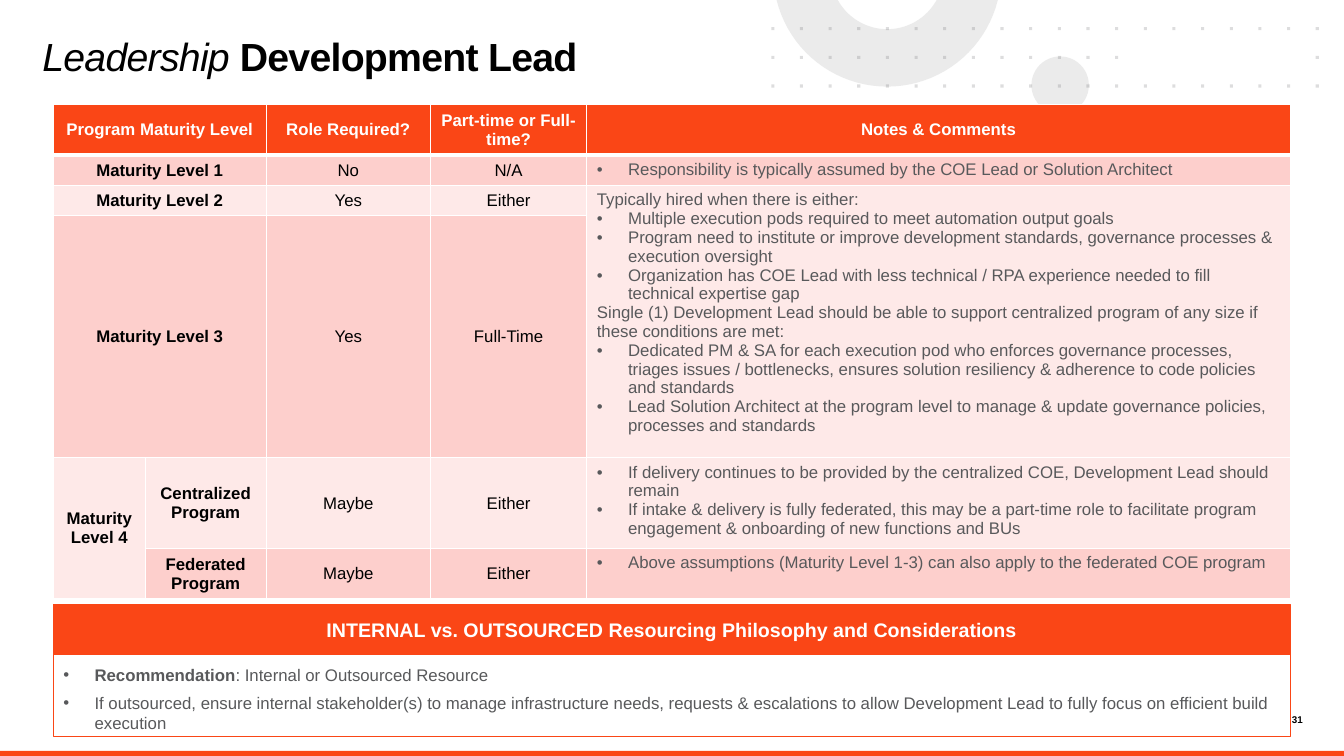
from dataclasses import dataclass
from math import asin, cos, pi, sin

from lxml import etree
from pptx import Presentation
from pptx import util as u
from pptx.dml.color import RGBColor
from pptx.enum import shapes, text
from pptx.oxml.ns import qn


@dataclass(frozen=True)
class Theme:
    font: str = "Arial"
    accent: str = "FA4616"
    white: str = "FFFFFF"
    black: str = "000000"
    gray: str = "58595B"
    backdrop: str = "D9D9D9"
    bands: tuple[str, str] = ("FEE9E8", "FDCFCC")
    title: float = 28
    heading: float = 14
    body: float = 12
    page: float = 7


@dataclass(frozen=True)
class Run:
    text: str
    size: float
    color: str
    bold: bool = False
    italic: bool = False
    spacing: float = 0


@dataclass(frozen=True)
class Note:
    text: str
    bullet: bool = True


@dataclass(frozen=True)
class Level:
    name: str
    program: str
    required: str
    commitment: str
    notes: tuple[Note, ...]
    height: float


@dataclass(frozen=True)
class DotBlock:
    first: int
    last: int


THEME = Theme()
LEFT, WIDTH = 0.53, 12.27
COLUMNS = (0.91, 1.2, 1.63, 1.55, 6.98)
HEADINGS = ("Program Maturity Level", "", "Role Required?", "Part-time or Full-time?", "Notes & Comments")
HEADING_HEIGHT = 0.48
LEVELS = (
    Level("Maturity Level 1", "", "No", "N/A", (
        Note("Responsibility is typically assumed by the COE Lead or Solution Architect"),), 0.28),
    Level("Maturity Level 2", "", "Yes", "Either", (
        Note("Typically hired when there is either:", False),
        Note("Multiple execution pods required to meet automation output goals"),
        Note("Program need to institute or improve development standards, governance processes & execution oversight"),
        Note("Organization has COE Lead with less technical / RPA experience needed to fill technical expertise gap"),
        Note("Single (1) Development Lead should be able to support centralized program of any size if these "
             "conditions are met:", False),
        Note("Dedicated PM & SA for each execution pod who enforces governance processes, triages issues / "
             "bottlenecks, ensures solution resiliency & adherence to code policies and standards"),
        Note("Lead Solution Architect at the program level to manage & update governance policies, processes "
             "and standards")), 0.28),
    Level("Maturity Level 3", "", "Yes", "Full-Time", (), 2.24),
    Level("Maturity Level 4", "Centralized Program", "Maybe", "Either", (
        Note("If delivery continues to be provided by the centralized COE, Development Lead should remain"),
        Note("If intake & delivery is fully federated, this may be a part-time role to facilitate program "
             "engagement & onboarding of new functions and BUs")), 0.84),
    Level("", "Federated Program", "Maybe", "Either", (
        Note("Above assumptions (Maturity Level 1-3) can also apply to the federated COE program"),), 0.48),
)
MERGES = (((0, 0), (0, 1)), ((1, 0), (1, 1)), ((2, 0), (2, 1)), ((3, 0), (3, 1)),
          ((2, 4), (3, 4)), ((4, 0), (5, 0)))
DOT_BLOCKS = (DotBlock(14, 19), DotBlock(0, 5), DotBlock(6, 11), DotBlock(12, 13))
MIDDLE_ROW_GAP = range(13, 19)


def paint(shape, color: str, opacity: int = 100, line: str = "") -> None:
    shape.shadow.inherit = False
    shape.fill.solid()
    shape.fill.fore_color.rgb = RGBColor.from_string(color)
    if opacity < 100:
        srgb = shape.fill._xPr.find(f".//{qn('a:srgbClr')}")
        etree.SubElement(srgb, qn("a:alpha"), val=str(opacity * 1000))
    if line:
        shape.line.color.rgb = RGBColor.from_string(line)
        shape.line.width = u.Pt(0.75)
    else:
        shape.line.fill.background()


def set_bullet(paragraph) -> None:
    properties = paragraph._p.get_or_add_pPr()
    properties.set("marL", str(u.Inches(0.31)))
    properties.set("indent", str(u.Inches(-0.31)))
    etree.SubElement(properties, qn("a:buFont"), typeface=THEME.font)
    etree.SubElement(properties, qn("a:buChar"), char="•")


def write(frame, index: int, runs: list[Run], align=text.PP_ALIGN.LEFT, bullet: bool = False):
    """Fill paragraph number index of a frame, adding it after the first."""
    paragraph = frame.add_paragraph() if index else frame.paragraphs[0]
    if bullet:
        set_bullet(paragraph)
    paragraph.alignment = align
    for item in runs:
        run = paragraph.add_run()
        run.text = item.text
        run.font.name, run.font.size = THEME.font, u.Pt(item.size)
        run.font.bold, run.font.italic = item.bold, item.italic
        run.font.color.rgb = RGBColor.from_string(item.color)
        if item.spacing:
            run._r.get_or_add_rPr().set("spc", str(round(item.spacing * 100)))
    return paragraph


def set_margins(frame, margin: float) -> None:
    frame.word_wrap = True
    frame.margin_left = frame.margin_right = frame.margin_top = frame.margin_bottom = u.Inches(margin)


def add_box(slide, kind, left: float, top: float, width: float, height: float):
    return slide.shapes.add_shape(kind, u.Inches(left), u.Inches(top), u.Inches(width), u.Inches(height))


def add_label(slide, left: float, top: float, width: float, height: float):
    label = slide.shapes.add_textbox(u.Inches(left), u.Inches(top), u.Inches(width), u.Inches(height))
    set_margins(label.text_frame, 0)
    return label.text_frame


def add_outline(slide, contours: list[list[tuple[float, float]]]):
    """Build one filled outline from closed contours given in inches."""
    scaled = [[(u.Inches(x), u.Inches(y)) for x, y in contour] for contour in contours]
    builder = slide.shapes.build_freeform(*scaled[0][0])
    for number, contour in enumerate(scaled):
        if number:
            builder.move_to(*contour[0])
        builder.add_line_segments(contour[1:], close=True)
    return builder.convert_to_shape()


def arc_below_edge(radius: float) -> list[tuple[float, float]]:
    """Points of the ring's circle, from right to left, below the slide's top edge."""
    center_x, center_y, steps = 8.8, -0.27, 40
    start = asin(-center_y / radius)
    angles = [start + (pi - 2 * start) * step / steps for step in range(steps + 1)]
    return [(center_x + radius * cos(a), max(0, center_y + radius * sin(a))) for a in angles]


def add_backdrop(slide) -> None:
    paint(add_box(slide, shapes.MSO_SHAPE.RECTANGLE, 0, 7.45, 13.33, 0.05), THEME.accent)
    paint(add_box(slide, shapes.MSO_SHAPE.OVAL, 10.23, 0.56, 0.57, 0.57), THEME.backdrop, 50)
    ring = arc_below_edge(1.13) + arc_below_edge(0.56)[::-1]
    paint(add_outline(slide, [ring]), THEME.backdrop, 50)
    side, pitch = 0.03, 5.4 / 19
    for block in DOT_BLOCKS:
        dots = []
        for row in range(3):
            for column in range(block.first, block.last + 1):
                if row == 1 and column in MIDDLE_ROW_GAP:
                    continue
                x, y = 7.65 + column * pitch, 0.27 + row * pitch
                dots.append([(x, y), (x + side, y), (x + side, y + side), (x, y + side)])
        paint(add_outline(slide, dots), THEME.gray, 20)


def set_borders(cell, bottom: float) -> None:
    properties = cell._tc.get_or_add_tcPr()
    for position, (edge, width) in enumerate((("lnL", 1), ("lnR", 1), ("lnT", 1), ("lnB", bottom))):
        line = etree.Element(qn(f"a:{edge}"), w=str(u.Pt(width)))
        fill = etree.SubElement(line, qn("a:solidFill"))
        etree.SubElement(fill, qn("a:srgbClr"), val=THEME.white)
        properties.insert(position, line)


def add_maturity_table(slide) -> None:
    heights = [HEADING_HEIGHT] + [level.height for level in LEVELS]
    table = slide.shapes.add_table(len(heights), len(COLUMNS), u.Inches(LEFT), u.Inches(1.04),
                                   u.Inches(WIDTH), u.Inches(sum(heights))).table
    table.horz_banding = False
    for column, width in zip(table.columns, COLUMNS):
        column.width = u.Inches(width)
    for row, height in zip(table.rows, heights):
        row.height = u.Inches(height)
    for start, end in MERGES:
        table.cell(*start).merge(table.cell(*end))
    rows = [HEADINGS] + [(level.name, level.program, level.required, level.commitment) for level in LEVELS]
    for r in range(len(heights)):
        for c in range(len(COLUMNS)):
            cell = table.cell(r, c)
            cell.fill.solid()
            cell.fill.fore_color.rgb = RGBColor.from_string(THEME.bands[r % 2] if r else THEME.accent)
            set_borders(cell, 1 if r else 3)
            if c < len(rows[r]):
                cell.vertical_anchor = text.MSO_ANCHOR.MIDDLE
                if rows[r][c]:
                    label = Run(rows[r][c], THEME.body, THEME.black if r else THEME.white, r == 0 or c < 2)
                    write(cell.text_frame, 0, [label], text.PP_ALIGN.CENTER)
            else:
                for index, note in enumerate(LEVELS[r - 1].notes):
                    write(cell.text_frame, index, [Run(note.text, THEME.body, THEME.gray)], bullet=note.bullet)


def add_resourcing_panel(slide) -> None:
    considerations = add_box(slide, shapes.MSO_SHAPE.RECTANGLE, LEFT, 6.49, WIDTH, 0.82)
    banner = add_box(slide, shapes.MSO_SHAPE.RECTANGLE, LEFT, 6, WIDTH, 0.49)
    for part, color in ((considerations, THEME.white), (banner, THEME.accent)):
        paint(part, color, line=THEME.accent)
        set_margins(part.text_frame, 0.1)
    considerations.text_frame.vertical_anchor = text.MSO_ANCHOR.TOP
    banner.text_frame.vertical_anchor = text.MSO_ANCHOR.MIDDLE
    points = (
        [Run("Recommendation", THEME.body, THEME.gray, True),
         Run(": Internal or Outsourced Resource", THEME.body, THEME.gray)],
        [Run("If outsourced, ensure internal stakeholder(s) to manage infrastructure needs, requests & escalations "
             "to allow Development Lead to fully focus on efficient build execution", THEME.body, THEME.gray)],
    )
    for index, runs in enumerate(points):
        write(considerations.text_frame, index, runs, bullet=True).space_after = u.Pt(6)
    heading = Run("INTERNAL vs. OUTSOURCED Resourcing Philosophy and Considerations",
                  THEME.heading, THEME.white, True)
    write(banner.text_frame, 0, [heading], text.PP_ALIGN.CENTER)


def main() -> None:
    deck = Presentation()
    deck.slide_width, deck.slide_height = u.Inches(13.33), u.Inches(7.5)
    slide = deck.slides.add_slide(deck.slide_layouts[6])
    page_number = add_label(slide, 12.53, 7.08, 0.39, 0.13)
    write(page_number, 0, [Run("31", THEME.page, THEME.black, True)], text.PP_ALIGN.RIGHT)
    add_backdrop(slide)
    title = add_label(slide, 0.42, 0.39, 7.23, 0.75)
    write(title, 0, [Run("Leadership ", THEME.title, THEME.black, italic=True, spacing=-0.5),
                     Run("Development Lead", THEME.title, THEME.black, True, spacing=-0.5)]).line_spacing = 0.85
    add_maturity_table(slide)
    add_resourcing_panel(slide)
    deck.save("out.pptx")


if __name__ == "__main__":
    main()
